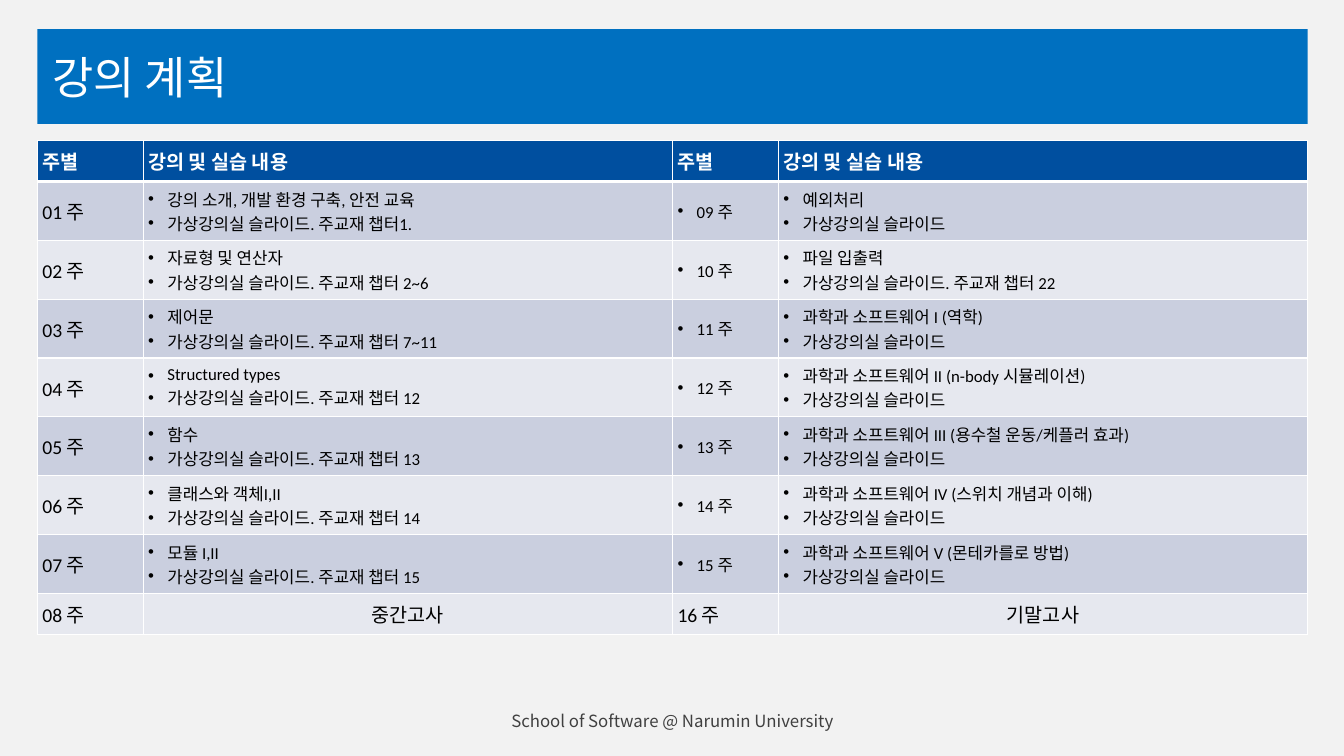
"""Build the lecture plan slide with its sixteen-week table."""
import dataclasses

import lxml.etree
import pptx
import pptx.dml.color
import pptx.enum.shapes
import pptx.enum.text
import pptx.oxml.ns
import pptx.util

Inches = pptx.util.Inches


@dataclasses.dataclass(frozen=True)
class Theme:
    """Colours, fonts and type sizes of the slide."""
    page: str = "F2F2F2"
    band: str = "0070C0"
    header: str = "004F9F"
    stripes: tuple = ("CACFDF", "E6E8EF")
    white: str = "FFFFFF"
    black: str = "000000"
    grey: str = "404040"
    latin: str = "Calibri"
    korean: str = "Noto Sans CJK KR"
    title_size: int = 32
    table_size: int = 14
    small_size: int = 12


THEME = Theme()
HEADINGS = ("주별", "강의 및 실습 내용")
MATERIAL = "가상강의실 슬라이드"
CHAPTER = MATERIAL + ". 주교재 챕터"
FIRST_HALF = (
    ("강의 소개, 개발 환경 구축, 안전 교육", CHAPTER + "1."),
    ("자료형 및 연산자", CHAPTER + " 2~6"),
    ("제어문", CHAPTER + " 7~11"),
    ("Structured types", CHAPTER + " 12"),
    ("함수", CHAPTER + " 13"),
    ("클래스와 객체I,II", CHAPTER + " 14"),
    ("모듈 I,II", CHAPTER + " 15"),
    ("중간고사",),
)
SECOND_HALF = (
    ("예외처리", MATERIAL),
    ("파일 입출력", CHAPTER + " 22"),
    ("과학과 소프트웨어 I (역학)", MATERIAL),
    ("과학과 소프트웨어 II (n-body 시뮬레이션)", MATERIAL),
    ("과학과 소프트웨어 III (용수철 운동/케플러 효과)", MATERIAL),
    ("과학과 소프트웨어 IV (스위치 개념과 이해)", MATERIAL),
    ("과학과 소프트웨어 V (몬테카를로 방법)", MATERIAL),
    ("기말고사",),
)


def rgb(value):
    """Turn a hex string into a colour."""
    return pptx.dml.color.RGBColor.from_string(value)


def add_child(parent, tag, **attributes):
    """Append a drawing element to its parent."""
    return lxml.etree.SubElement(parent, pptx.oxml.ns.qn(tag), attributes)


def format_runs(paragraph, size, color, font=THEME.korean, bold=False):
    """Give every run of a paragraph its font, size and colour."""
    for run in paragraph.runs:
        run.font.name = font
        run.font.size = pptx.util.Pt(size)
        run.font.bold = bold
        run.font.color.rgb = rgb(color)
        add_child(run.font._element, "a:ea", typeface=THEME.korean)


def add_bullet(paragraph):
    """Give a paragraph a hanging round bullet."""
    properties = paragraph._p.get_or_add_pPr()
    properties.set("marL", str(Inches(0.19)))
    properties.set("indent", str(-Inches(0.19)))
    add_child(properties, "a:buFont", typeface="Arial")
    add_child(properties, "a:buChar", char="•")


def set_margins(target, left=0.05):
    """Set the inner margins of a cell or text frame."""
    target.margin_left = Inches(left)
    target.margin_right = target.margin_top = target.margin_bottom = Inches(0.05)
    target.vertical_anchor = pptx.enum.text.MSO_ANCHOR.MIDDLE


def add_title_band(slide, text):
    """Add the coloured band that carries the title."""
    band = slide.shapes.add_shape(
        pptx.enum.shapes.MSO_SHAPE.RECTANGLE,
        Inches(0.37), Inches(0.29), Inches(12.6), Inches(0.94))
    band.shadow.inherit = False
    band.fill.solid()
    band.fill.fore_color.rgb = rgb(THEME.band)
    band.line.fill.background()
    band.text_frame.text = text
    set_margins(band.text_frame, left=0.15)
    paragraph = band.text_frame.paragraphs[0]
    paragraph.alignment = pptx.enum.text.PP_ALIGN.LEFT
    format_runs(paragraph, THEME.title_size, THEME.white)


def add_footer(slide, text):
    """Add the centred footer line."""
    footer = slide.shapes.add_textbox(
        Inches(4.15), Inches(7), Inches(5.04), Inches(0.3))
    footer.text_frame.word_wrap = True
    footer.text_frame.text = text
    set_margins(footer.text_frame)
    paragraph = footer.text_frame.paragraphs[0]
    paragraph.alignment = pptx.enum.text.PP_ALIGN.CENTER
    format_runs(paragraph, THEME.small_size, THEME.grey)


def style_cell(cell, row):
    """Give a cell its margins, white borders and row fill."""
    set_margins(cell)
    thick = {(0, "B"), (1, "T")}
    properties = cell._tc.get_or_add_tcPr()
    for side in "LRTB":
        width = pptx.util.Pt(3 if (row, side) in thick else 1)
        line = add_child(properties, f"a:ln{side}", w=str(width))
        add_child(add_child(line, "a:solidFill"), "a:srgbClr", val=THEME.white)
    cell.fill.solid()
    cell.fill.fore_color.rgb = rgb(
        THEME.stripes[(row - 1) % 2] if row else THEME.header)


def fill_cell(cell, lines, bulleted=False, centered=False, header=False,
              font=THEME.latin):
    """Write lines of text into a cell and format them."""
    cell.text_frame.text = "\n".join(lines)
    size = THEME.small_size if bulleted else THEME.table_size
    color = THEME.white if header else THEME.black
    for paragraph in cell.text_frame.paragraphs:
        if bulleted:
            add_bullet(paragraph)
        if centered:
            paragraph.alignment = pptx.enum.text.PP_ALIGN.CENTER
        format_runs(paragraph, size, color, font, bold=header)


def add_plan_table(slide, halves):
    """Add the table that sets the two halves of the term side by side."""
    weeks = len(halves[0])
    table = slide.shapes.add_table(
        weeks + 1, 4, Inches(0.37), Inches(1.39), Inches(12.6), Inches(4.88)).table
    table.horz_banding = False
    for index, column in enumerate(table.columns):
        column.width = Inches((1.05, 5.25)[index % 2])
    for index, row in enumerate(table.rows):
        row.height = Inches(0.41 if index in (0, weeks) else 0.58)
        for cell in row.cells:
            style_cell(cell, index)
    for half, topics in enumerate(halves):
        left = half * 2
        for offset, heading in enumerate(HEADINGS):
            fill_cell(table.cell(0, left + offset), [heading], header=True,
                      font=THEME.korean)
        for row, lines in enumerate(topics, start=1):
            exam = len(lines) == 1
            fill_cell(table.cell(row, left), [f"{half * weeks + row:02d} 주"],
                      bulleted=half == 1 and not exam)
            fill_cell(table.cell(row, left + 1), lines, bulleted=not exam,
                      centered=exam, font=THEME.korean if exam else THEME.latin)


def main():
    """Build and save the slide."""
    presentation = pptx.Presentation()
    presentation.slide_width = Inches(13.33)
    presentation.slide_height = Inches(7.5)
    slide = presentation.slides.add_slide(presentation.slide_layouts[6])
    slide.background.fill.solid()
    slide.background.fill.fore_color.rgb = rgb(THEME.page)
    add_title_band(slide, "강의 계획")
    add_plan_table(slide, (FIRST_HALF, SECOND_HALF))
    add_footer(slide, "School of Software @ Narumin University")
    presentation.save("out.pptx")


main()
